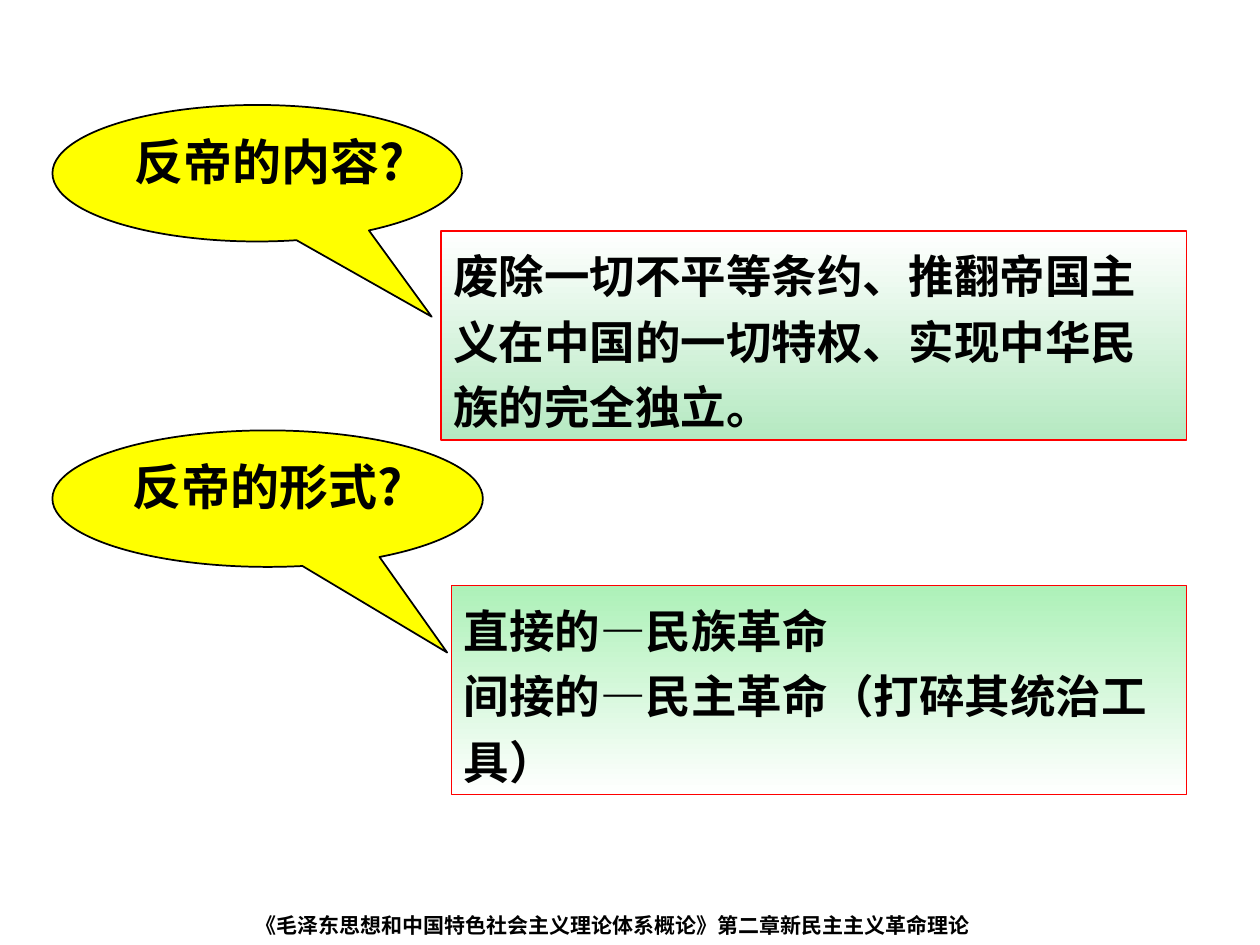
from typing import NamedTuple

from lxml.etree import SubElement
from pptx import Presentation
from pptx.dml.color import RGBColor
from pptx.enum.shapes import MSO_SHAPE
from pptx.enum.text import MSO_ANCHOR, MSO_AUTO_SIZE, PP_ALIGN
from pptx.oxml.ns import qn
from pptx.util import Inches, Pt

WIDE, HIGH = Inches(10), Inches(7.5)
# The grid has 120 columns and 90 rows
COL, ROW = WIDE / 120, HIGH / 90

BLACK = RGBColor(0, 0, 0)
WHITE = RGBColor(255, 255, 255)
YELLOW = RGBColor(255, 255, 0)
RED = RGBColor(255, 0, 0)
MINT = RGBColor(0xB5, 0xE9, 0xC1)
LIME = RGBColor(0xAD, 0xF1, 0xB8)
SANS = "Noto Sans CJK SC"


class Box(NamedTuple):
    col: float
    row: float
    cols: float
    rows: float
    lines: list[str]
    fills: list[RGBColor]
    style: dict
    tip: tuple[float, ...] = ()


# Text and outline styles
ASK = dict(size=28, font=SANS, align=PP_ALIGN.CENTER, space=1.0,
           edge=BLACK, width=1, auto=MSO_AUTO_SIZE.NONE)
REPLY = dict(size=26, font=SANS, align=PP_ALIGN.LEFT, space=1.2,
             edge=RED, width=0.75, auto=MSO_AUTO_SIZE.SHAPE_TO_FIT_TEXT)
FOOT = REPLY | dict(size=12, font="Arial", space=1.15, edge=None)

BOXES = [
    # Questions
    Box(5, 41, 41, 13, ["反帝的形式?"], [YELLOW], ASK, (0.417, 1.127)),
    Box(5, 10, 39, 13, ["反帝的内容?"], [YELLOW], ASK, (0.426, 1.051)),
    # Answers
    Box(42, 22, 71, 19.9,
        ["废除一切不平等条约、推翻帝国主义在中国的一切特权、实现中华民族的完全独立。"],
        [WHITE, MINT], REPLY),
    Box(43, 55.8, 70, 19.9,
        ["直接的—民族革命", "间接的—民主革命（打碎其统治工具）"],
        [LIME, WHITE], REPLY),
    # Footer
    Box(23.2, 86, 76.6, 4,
        ["《毛泽东思想和中国特色社会主义理论体系概论》第二章新民主主义革命理论"],
        [WHITE], FOOT),
]


def paint(shape, box: Box) -> None:
    """Fill with one colour, or from top to bottom with two."""
    shape.shadow.inherit = False
    if len(box.fills) == 1:
        shape.fill.solid()
        shape.fill.fore_color.rgb = box.fills[0]
    else:
        shape.fill.gradient()
        shape.fill.gradient_angle = 270
        for stop, hue, pos in zip(shape.fill.gradient_stops, box.fills, (0, 1)):
            stop.color.rgb, stop.position = hue, pos
    if box.style["edge"] is None:
        shape.line.fill.background()
    else:
        shape.line.color.rgb = box.style["edge"]
        shape.line.width = Pt(box.style["width"])


def write(shape, box: Box) -> None:
    """Put one paragraph per line of text."""
    style, frame = box.style, shape.text_frame
    for key, value in dict(word_wrap=True, auto_size=style["auto"],
                           vertical_anchor=MSO_ANCHOR.TOP).items():
        setattr(frame, key, value)
    frame.text = "\n".join(box.lines)
    form = dict(size=Pt(style["size"]), bold=True, name=style["font"])
    for para in frame.paragraphs:
        para.alignment, para.line_spacing = style["align"], style["space"]
        for run in para.runs:
            for key, value in form.items():
                setattr(run.font, key, value)
            run.font.color.rgb = BLACK
            # East Asian glyphs need their own typeface
            SubElement(run.font._element, qn("a:ea"), typeface=SANS)


def draw(slide, box: Box) -> None:
    kind = MSO_SHAPE.OVAL_CALLOUT if box.tip else MSO_SHAPE.RECTANGLE
    shape = slide.shapes.add_shape(
        kind, round(box.col * COL), round(box.row * ROW),
        round(box.cols * COL), round(box.rows * ROW))
    for i, share in enumerate(box.tip):
        shape.adjustments[i] = share
    paint(shape, box)
    write(shape, box)


def main() -> None:
    deck = Presentation()
    deck.slide_width, deck.slide_height = WIDE, HIGH
    slide = deck.slides.add_slide(deck.slide_layouts[6])
    for box in BOXES:
        draw(slide, box)
    deck.save("out.pptx")


if __name__ == "__main__":
    main()
